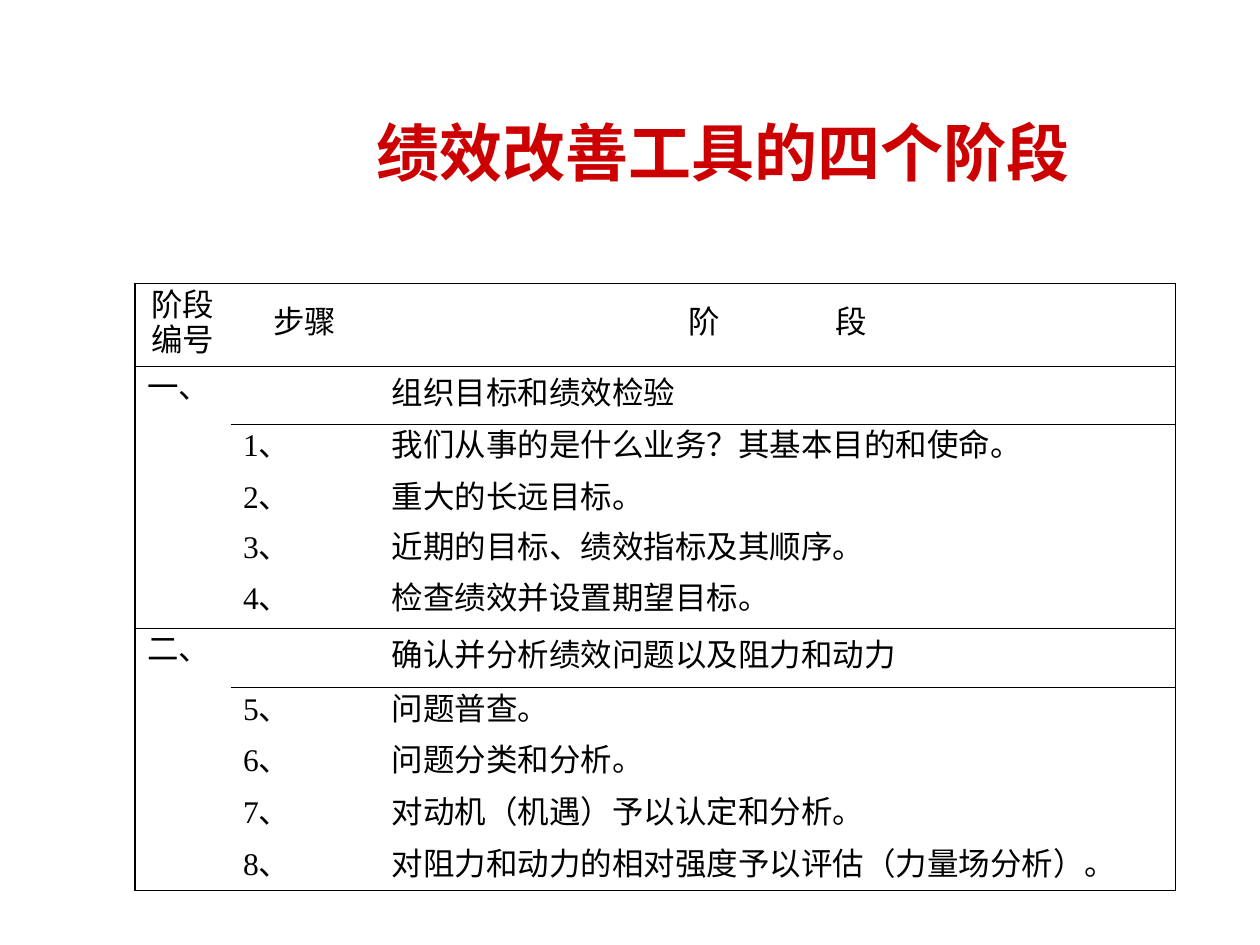
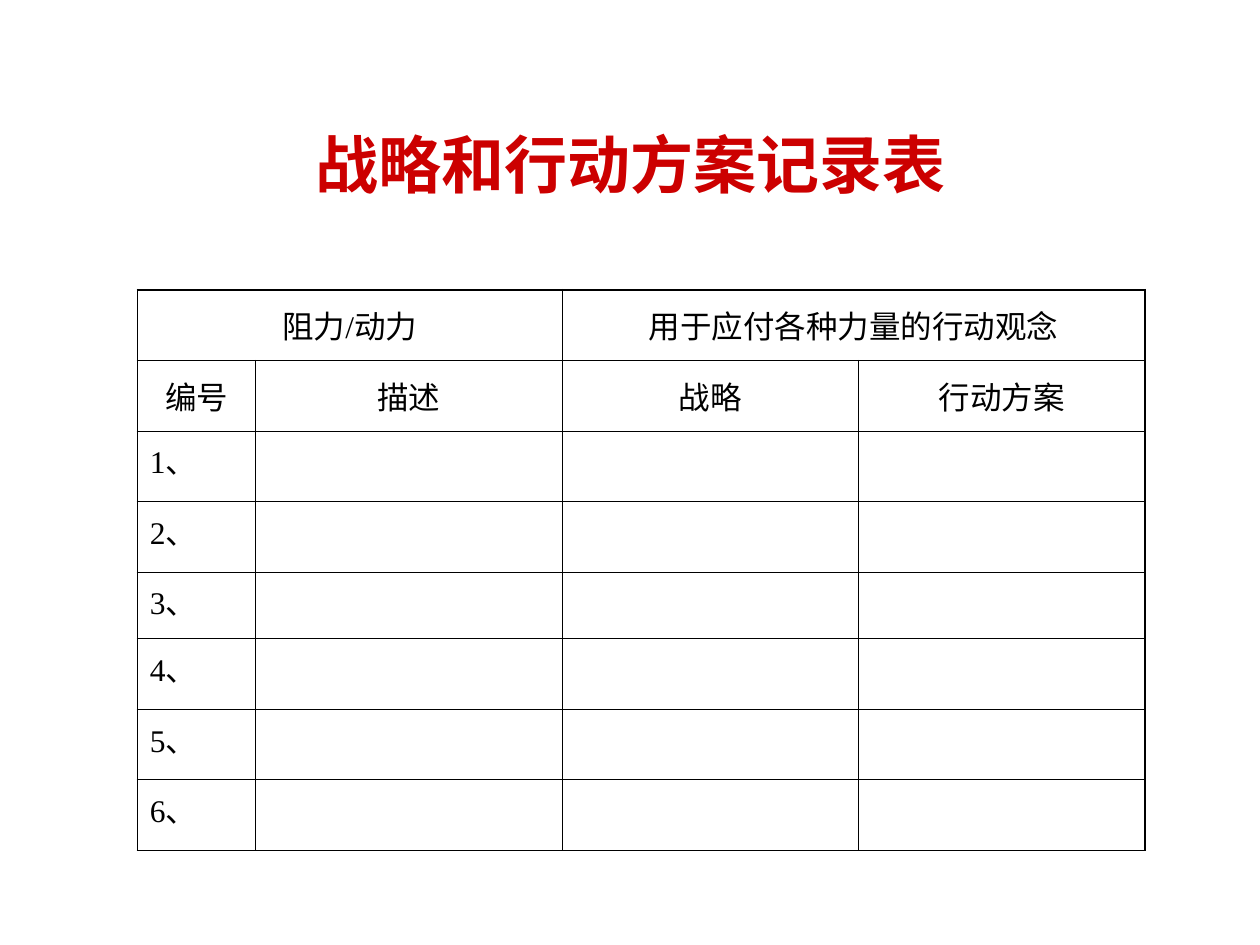
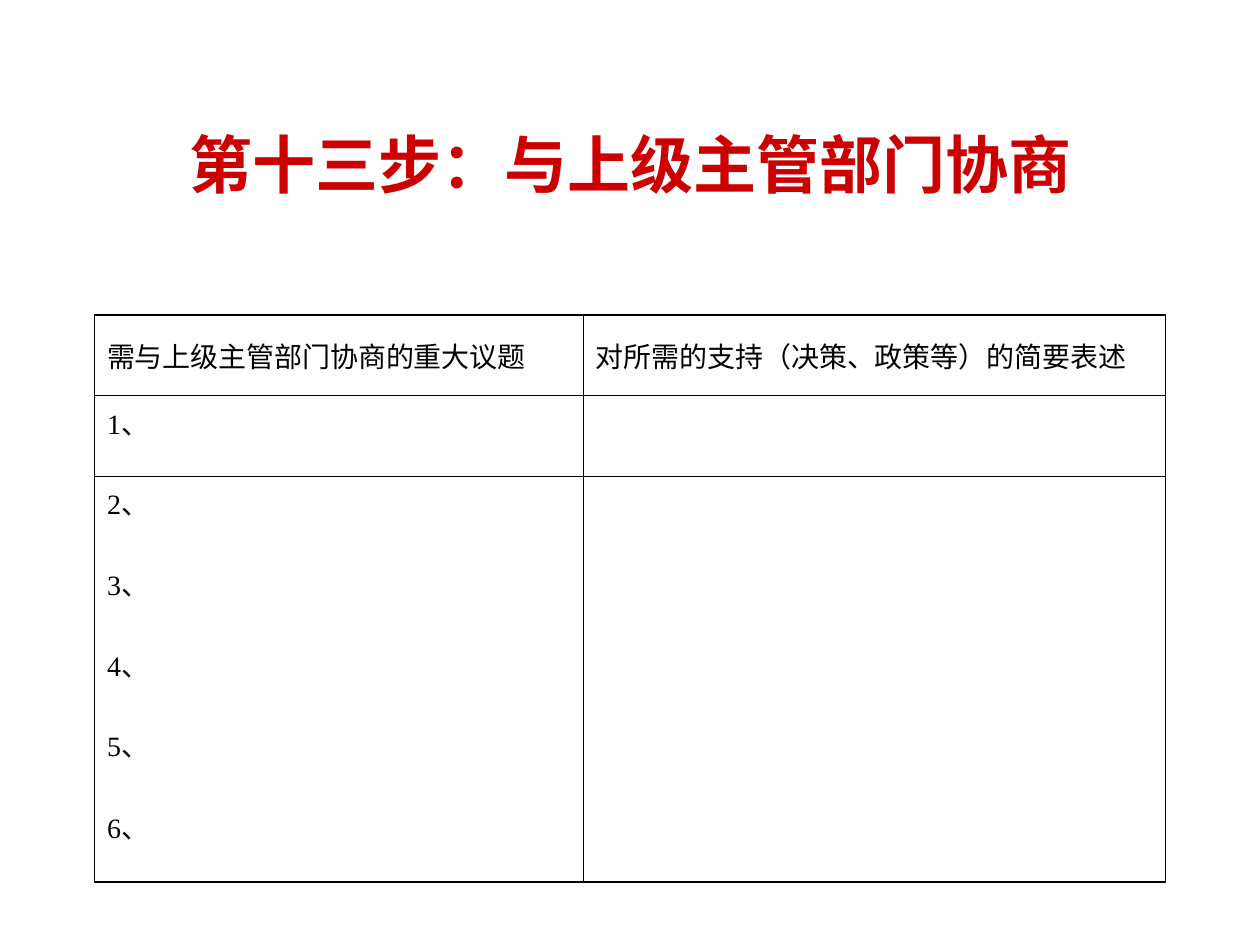
from dataclasses import dataclass, field

from lxml import etree
from pptx import Presentation
from pptx.dml.color import RGBColor
from pptx.enum.text import MSO_ANCHOR, MSO_AUTO_SIZE, PP_ALIGN
from pptx.oxml.ns import qn
from pptx.util import Emu, Pt

LEFT, CENTER = PP_ALIGN.LEFT, PP_ALIGN.CENTER
TOP, MIDDLE = MSO_ANCHOR.TOP, MSO_ANCHOR.MIDDLE
NO_FIT = MSO_AUTO_SIZE.NONE

PX = 9144  # 100 px to the inch
RED = RGBColor(0xCC, 0x00, 0x00)
BLACK = RGBColor(0x00, 0x00, 0x00)
FONT = "Times New Roman"
THIN, THICK = 0.45, 1.08
NO_STYLE = "{2D5ABB26-0587-4C30-8999-92F81FD0307C}"
TITLE_ONLY = 5

Box = tuple[int, int, int, int]
Spot = tuple[int, int]


@dataclass
class Grid:
    """A table: rules maps a row to the width of the line below it."""
    left: int
    top: int
    cols: list[int]
    rows: list[int]
    cells: list[list[str]]
    rules: dict[int, float]
    bars: bool = True
    heads: int = 0
    mid: set[int] = field(default_factory=lambda: {0})
    spans: list[tuple[Spot, Spot]] = field(default_factory=list)
    size: int = 18
    pitch: int | None = None
    gaps: dict[Spot, int] = field(default_factory=dict)


@dataclass
class Page:
    title: str
    box: Box
    grid: Grid


def px(*vals: int) -> list[Emu]:
    return [Emu(val * PX) for val in vals]


def write(frame, text: str, *, size: int, color: RGBColor = BLACK,
          bold: bool = False, align=LEFT, pitch: int | None = None,
          gap: int = 0) -> None:
    """Fill a frame; gap spreads the letters apart by that many points."""
    para = frame.paragraphs[0]
    para.alignment = align
    if pitch:
        para.line_spacing = Pt(pitch)
    parts = [text[:-1], text[-1]] if gap else [text]
    for part in filter(None, parts):
        run = para.add_run()
        run.text = part
        font = run.font
        font.name, font.size, font.bold = FONT, Pt(size), bold
        font.color.rgb = color
    if gap:
        para.runs[0].font._element.set("spc", str(gap * 100))


def draw_edge(cell, side: str, width: float) -> None:
    line = etree.SubElement(cell._tc.get_or_add_tcPr(), qn(f"a:ln{side}"),
                            w=str(Pt(width)))
    fill = etree.SubElement(line, qn("a:solidFill"))
    etree.SubElement(fill, qn("a:srgbClr"), val=str(BLACK))


def frame_cell(cell, row: int, col: int, grid: Grid) -> None:
    """Thick lines round the table, thin ones or none inside."""
    end_row = row + cell.span_height - 1 if cell.is_merge_origin else row
    end_col = col + cell.span_width - 1 if cell.is_merge_origin else col
    bar = THIN if grid.bars else 0
    edges = {
        "L": bar if col else THICK,
        "R": THICK if end_col == len(grid.cols) - 1 else bar,
        "T": grid.rules.get(row - 1, 0) if row else THICK,
        "B": THICK if end_row == len(grid.rows) - 1
        else grid.rules.get(end_row, 0),
    }
    for side, width in edges.items():
        if width:
            draw_edge(cell, side, width)


def draw_grid(slide, grid: Grid) -> None:
    shape = slide.shapes.add_table(
        len(grid.rows), len(grid.cols),
        *px(grid.left, grid.top, sum(grid.cols), sum(grid.rows)))
    table = shape.table
    table.first_row = table.horz_banding = False
    table._tbl.tblPr.find(qn("a:tableStyleId")).text = NO_STYLE
    for col, width in zip(table.columns, px(*grid.cols)):
        col.width = width
    for row, height in zip(table.rows, px(*grid.rows)):
        row.height = height
    for start, end in grid.spans:
        table.cell(*start).merge(table.cell(*end))

    for r, texts in enumerate(grid.cells):
        for c, text in enumerate(texts):
            cell = table.cell(r, c)
            write(cell.text_frame, text, size=grid.size, pitch=grid.pitch,
                  align=CENTER if r < grid.heads else LEFT,
                  gap=grid.gaps.get((r, c), 0))
            if cell.is_spanned:
                continue
            tall = cell.is_merge_origin and cell.span_height > 1
            cell.vertical_anchor = MIDDLE if r in grid.mid and not tall else TOP
            frame_cell(cell, r, c, grid)
            cell.fill.background()


def draw_page(deck, page: Page) -> None:
    slide = deck.slides.add_slide(deck.slide_layouts[TITLE_ONLY])
    title = slide.shapes.title
    title.left, title.top, title.width, title.height = px(*page.box)
    frame = title.text_frame
    frame.word_wrap, frame.auto_size = True, NO_FIT
    frame.vertical_anchor = MIDDLE
    write(frame, page.title, size=36, color=RED, bold=True, align=CENTER)
    draw_grid(slide, page.grid)


def stage(mark: str, name: str, first: int, steps: list[str]) -> list[list[str]]:
    """Rows of one stage: its name, then its numbered steps."""
    return [[mark, "", name]] + [
        ["", f"{num}、", step] for num, step in enumerate(steps, first)]


def blanks(cols: int) -> list[list[str]]:
    """Six numbered rows to be filled in by hand."""
    return [[f"{num}、"] + [""] * (cols - 1) for num in range(1, 7)]


STAGES = Grid(
    107, 225, [76, 118, 632],
    [66, 46, 41, 40, 40, 41, 47, 41, 41, 41, 38],
    [["阶段编号", "步骤", "阶段"]]
    + stage("一、", "组织目标和绩效检验", 1, [
        "我们从事的是什么业务？其基本目的和使命。",
        "重大的长远目标。",
        "近期的目标、绩效指标及其顺序。",
        "检查绩效并设置期望目标。"])
    + stage("二、", "确认并分析绩效问题以及阻力和动力", 5, [
        "问题普查。",
        "问题分类和分析。",
        "对动机（机遇）予以认定和分析。",
        "对阻力和动力的相对强度予以评估（力量场分析）。"]),
    rules={0: THICK, 5: THIN}, bars=False, heads=1, mid={0, 1, 6},
    spans=[((1, 0), (5, 0)), ((6, 0), (10, 0))], pitch=20, gaps={(0, 2): 66})

PLANS = Grid(
    109, 230, [94, 243, 235, 228], [56] * 4 + [53] + [56] * 3,
    [["阻力/动力", "", "用于应付各种力量的行动观念", ""],
     ["编号", "描述", "战略", "行动方案"]] + blanks(4),
    rules={row: THIN for row in range(7)}, heads=2, mid={0, 1},
    spans=[((0, 0), (0, 1)), ((0, 2), (0, 3))])

TALKS = Grid(
    75, 250, [388, 462], [64] * 5 + [65] * 2,
    [["需与上级主管部门协商的重大议题",
      "对所需的支持（决策、政策等）的简要表述"]] + blanks(2),
    rules={0: THIN}, size=16)

TITLE_BOX = (75, 67, 850, 125)
PAGES = [
    Page("绩效改善工具的四个阶段", (148, 58, 852, 125), STAGES),
    Page("战略和行动方案记录表", TITLE_BOX, PLANS),
    Page("第十三步：与上级主管部门协商", TITLE_BOX, TALKS),
]


def main() -> None:
    deck = Presentation()
    deck.slide_width, deck.slide_height = px(1000, 750)
    for page in PAGES:
        draw_page(deck, page)
    deck.save("out.pptx")


if __name__ == "__main__":
    main()
